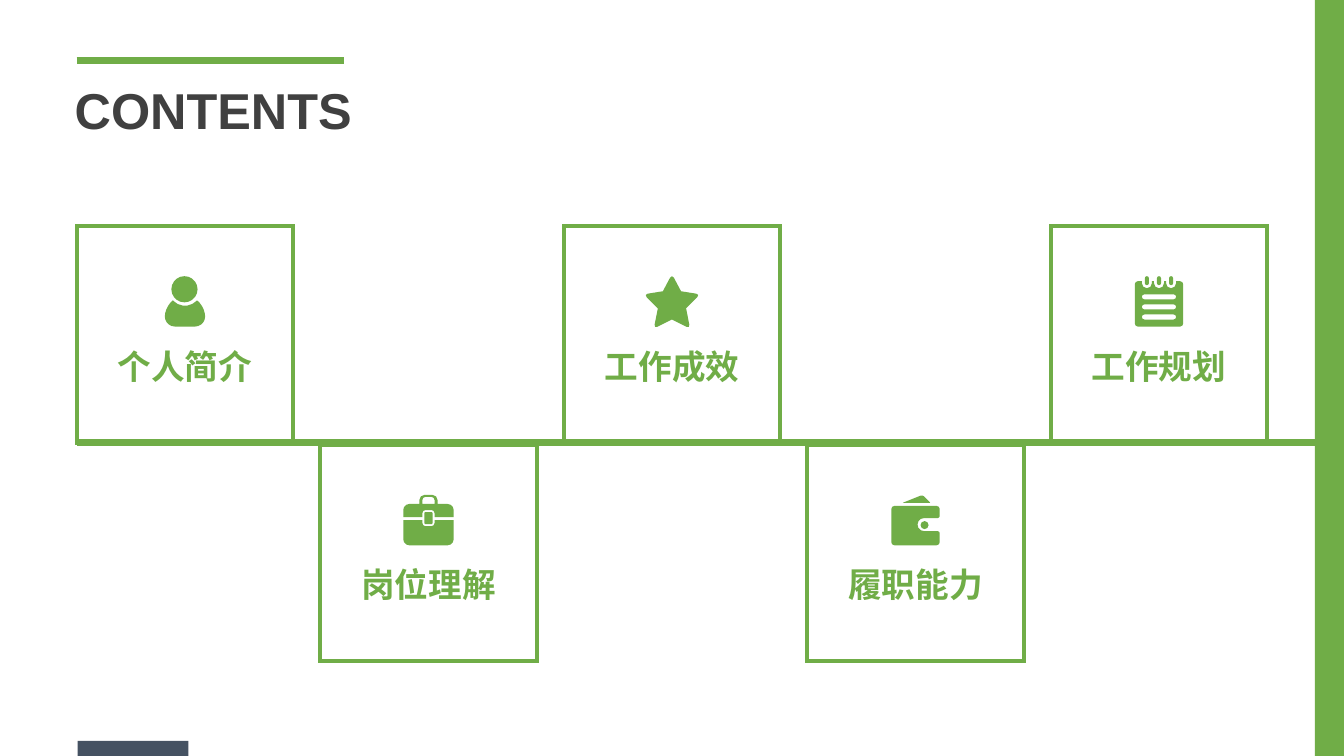
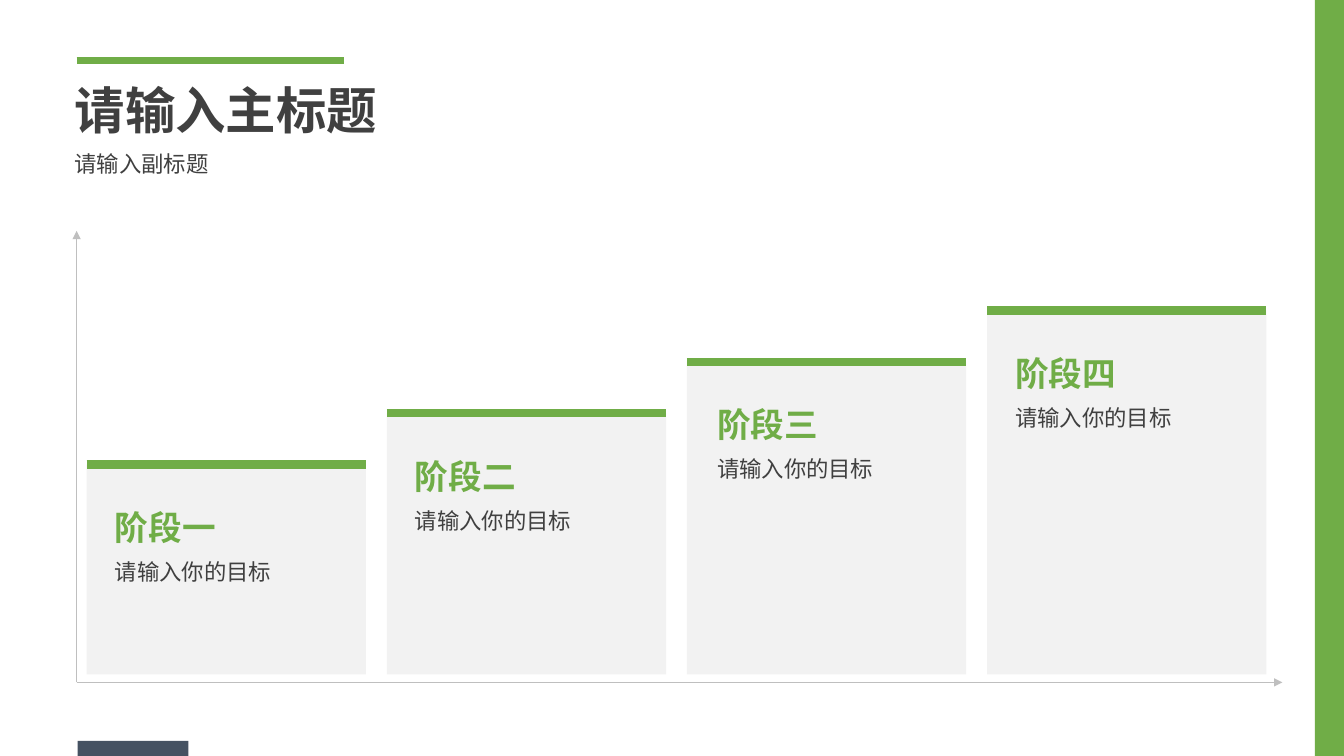
from pptx import Presentation
from pptx.dml.color import RGBColor
from pptx.enum.shapes import MSO_CONNECTOR, MSO_SHAPE
from pptx.enum.text import MSO_ANCHOR, MSO_AUTO_SIZE, PP_ALIGN
from pptx.oxml.ns import qn
from pptx.util import Inches, Pt
from lxml import etree

RECT = MSO_SHAPE.RECTANGLE
STRAIGHT = MSO_CONNECTOR.STRAIGHT
LEFT, CENTER = PP_ALIGN.LEFT, PP_ALIGN.CENTER
TOP = MSO_ANCHOR.TOP
GROW = MSO_AUTO_SIZE.SHAPE_TO_FIT_TEXT

COLORS = {"green": "70AD47", "slate": "455262", "text": "404040",
          "axis": "BFBFBF", "panel": "F2F2F2", "white": "FFFFFF"}
LATIN, CHINESE = "Arial", "Noto Sans CJK SC"

# Content
CONTENTS_TITLE = "CONTENTS"
SECTIONS = [("个人简介", "person"), ("岗位理解", "briefcase"), ("工作成效", "star"),
            ("履职能力", "wallet"), ("工作规划", "notepad")]
PLAN_TITLE, PLAN_SUBTITLE = "请输入主标题", "请输入副标题"
# Stage, goal, text indent
STAGES = [("阶段一", "请输入你的目标", 0.18), ("阶段二", "请输入你的目标", 0.18),
          ("阶段三", "请输入你的目标", 0.2), ("阶段四", "请输入你的目标", 0.18)]


# Icons: parts made of closed outlines of (x, y, corner radius) in hundredths
# of an inch, measured from the middle of the icon's top edge
def box(x, y, w, h, r):
    return [(x, y, r), (x + w, y, r), (x + w, y + h, r), (x, y + h, r)]


RINGS = (-12, 0, 12)
NOTEPAD_TOP = [corner for x in RINGS for corner in
               ((x - 5, 5, 0), (x - 5, 12, 5), (x + 5, 12, 5), (x + 5, 5, 0))]
ICONS = {
    "person": [[
        box(-13.5, 0, 26, 26, 13),
        [(12, 24, 0), (20, 30, 10), (20, 50, 10), (-20, 50, 10),
         (-20, 30, 10), (-12, 24, 0), (0, 36, 16)]]],
    "briefcase": [
        [[(-25, 9, 6), (-9, 9, 0), (-9, 0, 5), (9, 0, 5), (9, 9, 0), (25, 9, 6),
          (25, 22, 0), (6, 22, 0), (6, 15, 3), (-6, 15, 3), (-6, 22, 0), (-25, 22, 0)],
         [(-6, 9, 0), (-6, 2, 3), (6, 2, 3), (6, 9, 0)]],
        [box(-4, 17, 8, 12, 1)],
        [[(-25, 25, 0), (-6, 25, 0), (-6, 31, 3), (6, 31, 3), (6, 25, 0),
          (25, 25, 0), (25, 50, 6), (-25, 50, 6)]]],
    "star": [[
        [(0, -2, 4), (9, 15, 0), (28, 18, 4), (14, 32, 0), (18, 52, 4),
         (0, 43, 0), (-18, 52, 4), (-14, 32, 0), (-28, 18, 4), (-9, 15, 0)]]],
    "wallet": [[
        [(-24, 11, 3), (24, 11, 3), (24, 23, 2), (2, 23, 6.5), (2, 36, 6.5),
         (24, 36, 2), (24, 50, 3), (-24, 50, 3)],
        box(5, 26, 8, 8, 4),
        [(-13, 8, 1), (7, 0, 2), (15, 8, 1)]]],
    "notepad": [[
        [(-24, 5, 3), *NOTEPAD_TOP, (24, 5, 3), (24, 50, 3), (-24, 50, 3)],
        *[box(x - 2, 0, 4, 9, 2) for x in RINGS],
        *[box(-17, y, 34, 5, 2.5) for y in (18, 28, 38)]]],
}


# Drawing helpers
def color(name):
    return RGBColor.from_string(COLORS[name])


def paint(shape, fill, line=None, width=0):
    shape.shadow.inherit = False
    shape.fill.solid()
    shape.fill.fore_color.rgb = color(fill)
    if line:
        shape.line.color.rgb = color(line)
        shape.line.width = Pt(width)
        etree.SubElement(shape.line._get_or_add_ln(), qn("a:miter"), lim="800000")
    else:
        shape.line.fill.background()


def add_rect(slide, x, y, w, h, fill, line=None, width=0):
    rect = slide.shapes.add_shape(RECT, Inches(x), Inches(y), Inches(w), Inches(h))
    paint(rect, fill, line, width)


def add_line(slide, x1, y1, x2, y2, line_color, width, arrow=False):
    line = slide.shapes.add_connector(
        STRAIGHT, Inches(x1), Inches(y1), Inches(x2), Inches(y2))
    line.line.color.rgb = color(line_color)
    line.line.width = Pt(width)
    if arrow:
        etree.SubElement(line.line._get_or_add_ln(), qn("a:tailEnd"), type="triangle")
    etree.SubElement(line._element.spPr, qn("a:effectLst"))


def write(holder, text, size, text_color, bold=False, align=LEFT, font=LATIN,
          wrap=False):
    frame = holder.text_frame
    frame.word_wrap = wrap
    frame.auto_size = GROW
    frame.vertical_anchor = TOP
    paragraph = frame.paragraphs[0]
    paragraph.text = text
    paragraph.alignment = align
    paragraph.font.size = Pt(size)
    paragraph.font.bold = bold
    paragraph.font.color.rgb = color(text_color)
    paragraph.font.name = font
    etree.SubElement(paragraph.font._rPr, qn("a:ea"), typeface=CHINESE)


def add_text(slide, x, y, w, h, *args, **style):
    write(slide.shapes.add_textbox(Inches(x), Inches(y), Inches(w), Inches(h)),
          *args, **style)


def round_corners(corners):
    points = []
    for i, (x, y, r) in enumerate(corners):
        if not r:
            points.append((x, y))
            continue
        ends = []
        for nx, ny, _ in (corners[i - 1], corners[(i + 1) % len(corners)]):
            share = r / ((nx - x) ** 2 + (ny - y) ** 2) ** 0.5
            ends.append((x + (nx - x) * share, y + (ny - y) * share))
        (ax, ay), (bx, by) = ends
        steps = max(2, min(5, round(r / 2)))
        for step in range(steps + 1):
            t = step / steps
            # Cubic curve whose handles reach 0.55 of the way to the corner
            a = (1 - t) ** 3 + 1.35 * t * (1 - t) ** 2
            b = t ** 3 + 1.35 * t ** 2 * (1 - t)
            points.append((a * ax + b * bx + (1 - a - b) * x,
                           a * ay + b * by + (1 - a - b) * y))
    return points


def add_icon(slide, icon, center, top):
    parts = ICONS[icon]
    shapes = slide.shapes.add_group_shape().shapes if len(parts) > 1 else slide.shapes
    for outlines in parts:
        builder = None
        for corners in outlines:
            points = [(Inches(center + x / 100), Inches(top + y / 100))
                      for x, y in round_corners(corners)]
            if builder is None:
                builder = shapes.build_freeform(*points[0])
            else:
                builder.move_to(*points[0])
            builder.add_line_segments(points[1:], close=True)
        paint(builder.convert_to_shape(), "green")


# Shared frame: title, accent line, side band and footer block
def new_slide(prs, title_text, title_width):
    slide = prs.slides.add_slide(prs.slide_layouts[5])
    add_rect(slide, 13.04, 0, 0.29, 7.5, "green")
    add_rect(slide, 0.77, 7.35, 1.1, 0.15, "slate")
    add_line(slide, 0.76, 0.6, 3.41, 0.6, "green", 4.75)
    title = slide.shapes.title
    title.left, title.top = Inches(0.64), Inches(0.73)
    title.width, title.height = Inches(title_width), Inches(0.71)
    write(title, title_text, 36, "text", bold=True)
    return slide


def build_contents(prs):
    slide = new_slide(prs, CONTENTS_TITLE, 2.98)
    size, first_left, last_left = 2.15, 0.76, 10.42
    step = (last_left - first_left) / (len(SECTIONS) - 1)
    for i, (label, icon) in enumerate(SECTIONS):
        left, top = first_left + i * step, (2.24, 4.41)[i % 2]
        add_rect(slide, left, top, size, size, "white", "green", 3)
        add_icon(slide, icon, left + size / 2, top + 0.5)
        add_text(slide, left + 0.3, top + 1.14, size - 0.6, 0.5, label, 24, "green",
                 bold=True, align=CENTER, font=CHINESE)
    add_line(slide, 0.76, 4.39, 13.12, 4.39, "green", 4.75)


def build_plan(prs):
    slide = new_slide(prs, PLAN_TITLE, 3.23)
    add_text(slide, 0.64, 1.44, 1.55, 0.37, PLAN_SUBTITLE, 16, "text")
    # Axes
    for end_x, end_y in ((12.72, 6.77), (0.76, 2.29)):
        add_line(slide, 0.76, 6.77, end_x, end_y, "axis", 0.5, arrow=True)
    # Rising stages
    width, bottom, first_left, last_left = 2.77, 6.69, 0.86, 9.79
    step = (last_left - first_left) / (len(STAGES) - 1)
    for i, (stage, goal, indent) in enumerate(STAGES):
        left, height = first_left + i * step, 2.08 + i * 0.51
        top = bottom - height
        add_rect(slide, left, top, width, height, "panel")
        add_line(slide, left, top, left + width, top, "green", 6)
        add_text(slide, left + indent, top + 0.37, 1.21, 0.5, stage, 24, "green",
                 bold=True)
        add_text(slide, left + indent, top + 0.88, 2.42, 0.37, goal, 16, "text",
                 wrap=True)


def main():
    prs = Presentation()
    prs.slide_width, prs.slide_height = Inches(13.33), Inches(7.5)
    build_contents(prs)
    build_plan(prs)
    prs.save("out.pptx")


if __name__ == "__main__":
    main()
